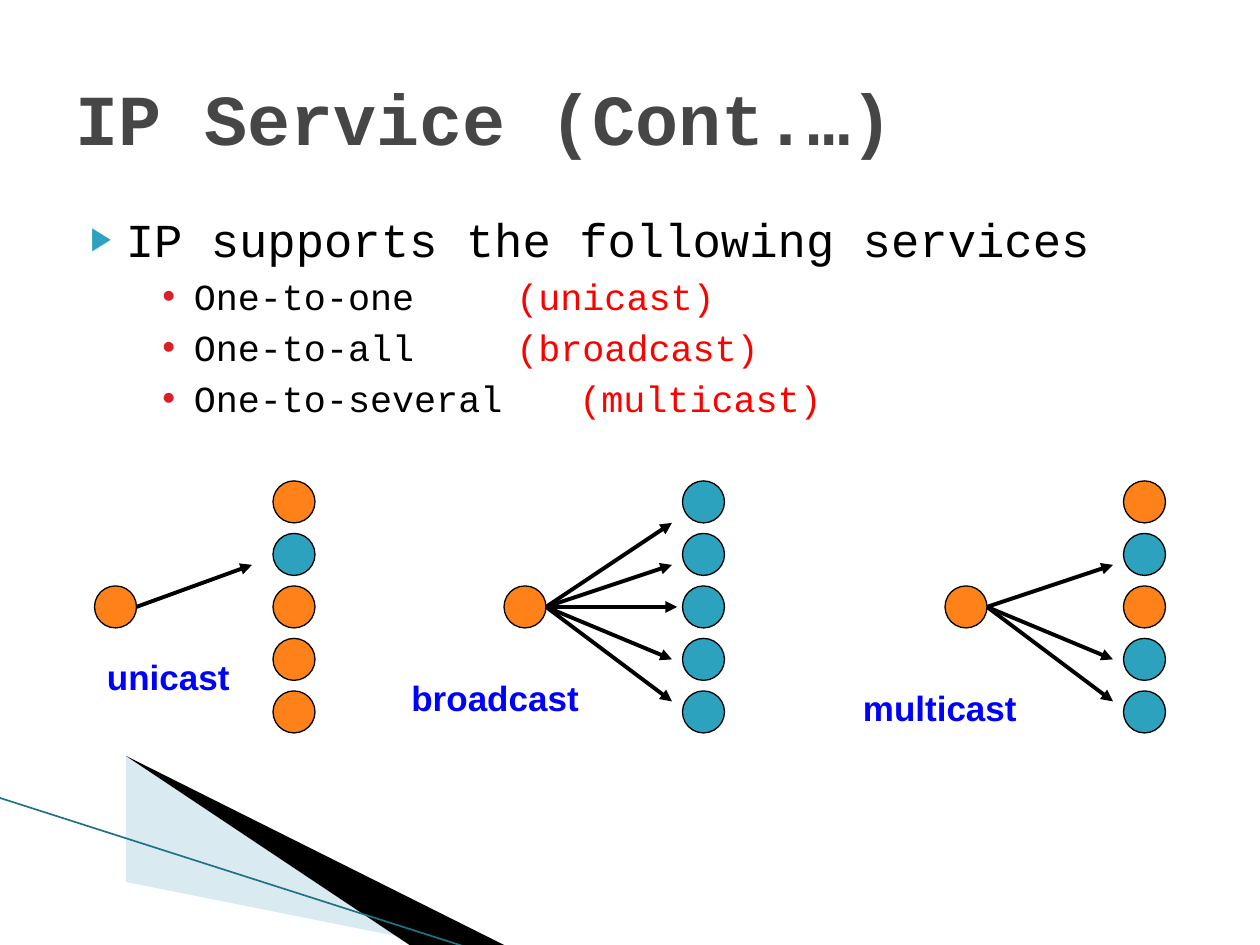
from lxml.etree import SubElement
from pptx import Presentation
from pptx.dml.color import RGBColor
from pptx.enum.shapes import MSO_CONNECTOR as Connector, MSO_SHAPE as Preset
from pptx.enum.text import MSO_ANCHOR as Anchor, PP_ALIGN as Align
from pptx.oxml.ns import qn
from pptx.util import Inches, Pt

COLORS = {
    "title": "464646", "text": "000000", "accent": "FF0000",
    "label": "0000FF", "idle": "FF8119", "reached": "2DA2BF",
    "arrow_bullet": "2DA2BF", "dot_bullet": "DA1F28",
    "pale": "A0CBDC", "edge": "1F7386",
}
UNIT = 1 / 12
TOP_ROW = 45.8
DIAMETER, PITCH, HUB_ROW = 4, 5, 2
RECEIVER_OFFSET = 17
ARROW_RISES = (-8, -4, 0, 5, 9)
SERVICES = (
    ("One-to-one \t\t", "(unicast)"),
    ("One-to-all \t\t", "(broadcast)"),
    ("One-to-several \t", "(multicast)"),
)
DIAGRAMS = (
    ("unicast", 9, (1,), 11, (9, 16, 16)),
    ("broadcast", 48, (0, 1, 2, 3, 4), 12, (38, 18, 20)),
    ("multicast", 90, (1, 3, 4), 12, (81, 19, 20)),
)


def color(name):
    return RGBColor.from_string(COLORS[name])


def column(number):
    return Inches(number * UNIT)


def row(number):
    return Inches((TOP_ROW + number) * UNIT)


def style(font, name, size, color_name, bold=False):
    font.name, font.size, font.bold = name, Pt(size), bold
    font.color.rgb = color(color_name)


def add_line(slide, start, end, color_name, width, arrow=False):
    line = slide.shapes.add_connector(Connector.STRAIGHT, *start, *end)
    line.line.color.rgb = color(color_name)
    line.line.width = Pt(width)
    properties = line._element.spPr
    if arrow:
        SubElement(properties.find(qn("a:ln")), qn("a:tailEnd"), type="triangle")
    SubElement(properties, qn("a:effectLst"))


def add_wedge(slide, points, color_name, opacity=100):
    builder = slide.shapes.build_freeform(*points[0], scale=Inches(1))
    builder.add_line_segments(points[1:])
    shape = builder.convert_to_shape()
    shape.shadow.inherit = False
    shape.fill.solid()
    shape.fill.fore_color.rgb = color(color_name)
    shape.line.fill.background()
    if opacity < 100:
        fill = shape._element.spPr.find(qn("a:solidFill"))
        SubElement(fill[0], qn("a:alpha"), val=str(opacity * 1000))


def add_node(slide, left, level, color_name):
    shape = slide.shapes.add_shape(
        Preset.OVAL, column(left), row(level * PITCH),
        column(DIAMETER), column(DIAMETER))
    shape.shadow.inherit = False
    shape.fill.solid()
    shape.fill.fore_color.rgb = color(color_name)
    shape.line.color.rgb = color("text")
    shape.line.width = Pt(0.75)


def add_label(slide, text, left, top, width):
    box = slide.shapes.add_textbox(
        column(left), row(top), column(width), Inches(0.43))
    box.text_frame.word_wrap = True
    paragraph = box.text_frame.paragraphs[0]
    paragraph.text = text
    style(paragraph.font, "Arial", 20, "label", True)


def add_diagram(slide, name, hub, reached, arrow_length, label):
    add_node(slide, hub, HUB_ROW, "idle")
    start = hub + DIAMETER
    center = HUB_ROW * PITCH + DIAMETER / 2
    for level, rise in enumerate(ARROW_RISES):
        hit = level in reached
        add_node(slide, hub + RECEIVER_OFFSET, level, "reached" if hit else "idle")
        if hit:
            length = arrow_length + (0.5 if rise == 0 else 0)
            add_line(slide, (column(start), row(center)),
                     (column(start + length), row(center + rise)),
                     "text", 2.25, True)
    add_label(slide, name, *label)


def add_bullet(paragraph, symbol, color_name, margin, indent, percent=100):
    properties = paragraph._p.get_or_add_pPr()
    properties.set("marL", str(Inches(margin)))
    properties.set("indent", str(Inches(indent)))
    tint = SubElement(properties, qn("a:buClr"))
    SubElement(tint, qn("a:srgbClr"), val=COLORS[color_name])
    SubElement(properties, qn("a:buSzPct"), val=str(percent * 1000))
    SubElement(properties, qn("a:buFont"), typeface="Arial")
    SubElement(properties, qn("a:buChar"), char=symbol)


def add_body(slide):
    box = slide.shapes.add_textbox(
        Inches(0.5), Inches(1.62), Inches(9), Inches(4.95))
    frame = box.text_frame
    frame.word_wrap = True
    heading = frame.paragraphs[0]
    heading.text = "IP supports the following services"
    heading.space_before, heading.line_spacing = Pt(4), Pt(32.5)
    style(heading.font, "Courier New", 27, "text")
    add_bullet(heading, "▶", "arrow_bullet", 0.4, -0.28, 68)
    for reach, service in SERVICES:
        paragraph = frame.add_paragraph()
        paragraph.level = 1
        paragraph.space_before, paragraph.line_spacing = Pt(3.5), Pt(25.6)
        for text, color_name in ((reach, "text"), (service, "accent")):
            run = paragraph.add_run()
            run.text = text
            style(run.font, "Courier New", 21, color_name)
        add_bullet(paragraph, "•", "dot_bullet", 0.94, -0.25)


def set_title(slide):
    title = slide.shapes.title
    title.left, title.top = Inches(0.5), Inches(0.3)
    title.width, title.height = Inches(9), Inches(1.25)
    title.text_frame.vertical_anchor = Anchor.MIDDLE
    paragraph = title.text_frame.paragraphs[0]
    paragraph.text = "IP Service (Cont.…)"
    paragraph.alignment = Align.LEFT
    style(paragraph.font, "Courier New", 41, "title", True)


def add_corner(slide):
    add_wedge(slide, [(0.55, 6.51), (5.95, 7.51), (4.56, 7.51), (0.55, 6.5)],
              "pale", 40)
    add_wedge(slide, [(0.53, 6.49), (4.57, 7.51), (3.72, 7.52), (0.54, 6.5)],
              "text")
    add_line(slide, (Inches(-0.01), Inches(6.33)),
             (Inches(3.71), Inches(7.52)), "edge", 0.95)


def main():
    presentation = Presentation()
    presentation.slide_width, presentation.slide_height = Inches(10), Inches(7.5)
    slide = presentation.slides.add_slide(presentation.slide_layouts[5])
    add_corner(slide)
    add_body(slide)
    set_title(slide)
    for diagram in DIAGRAMS:
        add_diagram(slide, *diagram)
    presentation.save("out.pptx")


if __name__ == "__main__":
    main()
